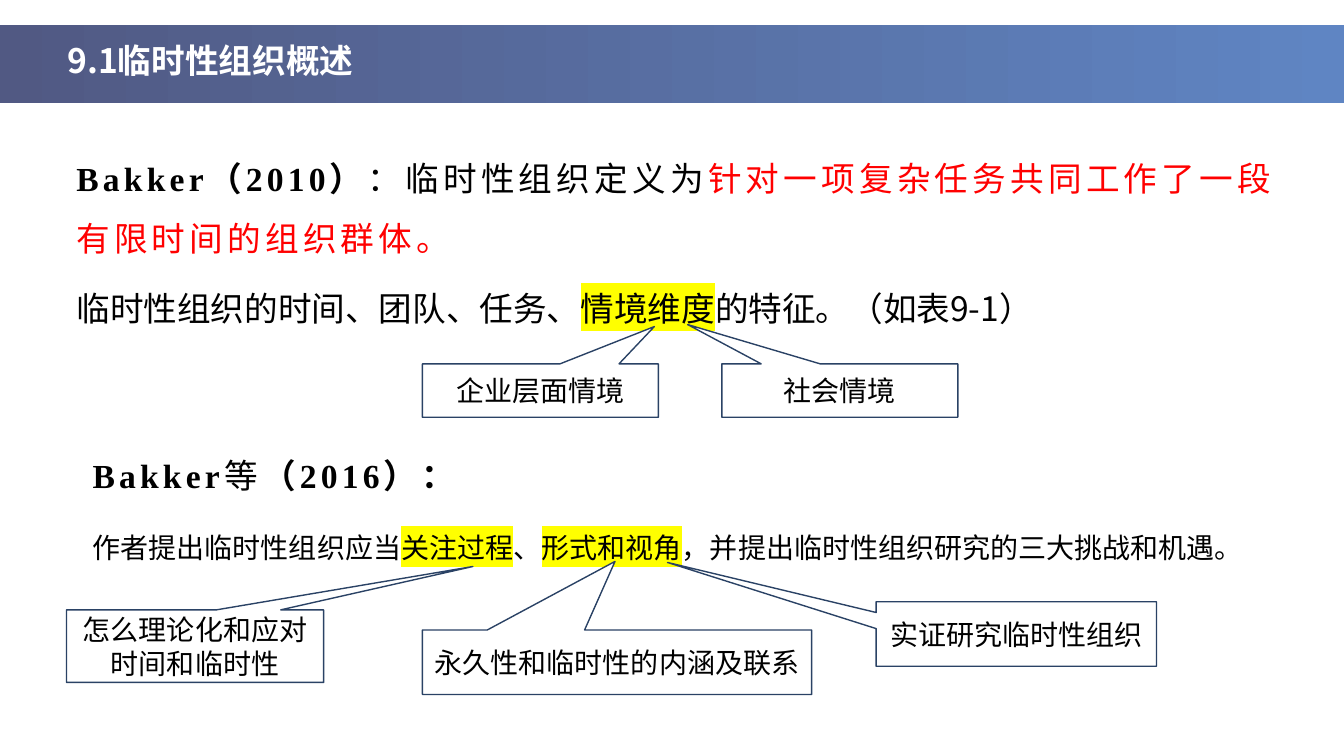
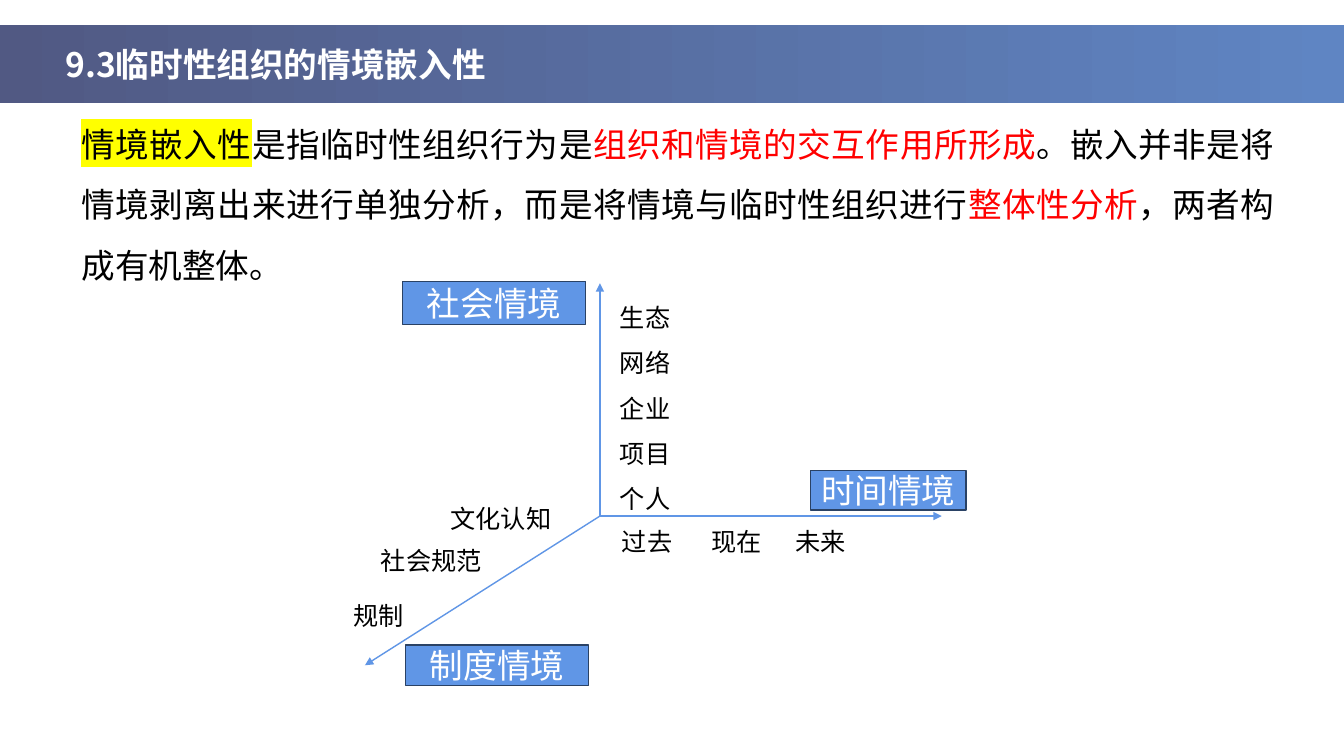
from lxml import etree
from pptx import Presentation
from pptx.dml.color import RGBColor
from pptx.enum.shapes import MSO_CONNECTOR, MSO_SHAPE
from pptx.enum.text import MSO_ANCHOR, MSO_AUTO_SIZE, PP_ALIGN
from pptx.oxml.ns import qn
from pptx.util import Emu, Pt

PX = 9144  # EMU per px, 100 px to the inch
SLIDE_W, SLIDE_H = 1333, 750
SANS, LATIN_SERIF, LATIN_SANS = "Noto Sans CJK SC", "Times New Roman", "Arial"
COLORS = {
    "band_start": "515983",
    "band_end": "5F85C3",
    "white": "FFFFFF",
    "text": "000000",
    "key": "FF0000",
    "marker": "FFFF00",
    "outline": "2A4265",
    "axis": "6096E6",
}
KEY = {"color": "key"}
MARKED = {"marker": "marker"}


def px(length):
    return Emu(round(length * PX))


def rgb(name):
    return RGBColor.from_string(COLORS[name])


def add_run(paragraph, text, size=24, font=SANS, color="text", bold=False,
            spacing=0, marker=None):
    run = paragraph.add_run()
    run.text = text
    run.font.size, run.font.bold = Pt(size), bold
    run.font.color.rgb = rgb(color)
    props = run.font.fill._xPr
    if spacing:
        props.set("spc", str(spacing * 100))
    if marker:
        highlight = etree.SubElement(props, qn("a:highlight"))
        etree.SubElement(highlight, qn("a:srgbClr"), val=COLORS[marker])
    run.font.name = font
    etree.SubElement(props, qn("a:ea"), typeface=SANS)


def write(frame, *paragraphs, align=PP_ALIGN.LEFT, line_spacing=1.0,
          anchor=MSO_ANCHOR.TOP, tabs=(), **style):
    """Each paragraph is a string or a list of (text, style changes)."""
    frame.word_wrap = True
    frame.vertical_anchor = anchor
    for index, content in enumerate(paragraphs):
        paragraph = frame.add_paragraph() if index else frame.paragraphs[0]
        paragraph.alignment = align
        paragraph.line_spacing = line_spacing
        if tabs:
            stops = etree.SubElement(paragraph._p.get_or_add_pPr(), qn("a:tabLst"))
            for stop in tabs:
                etree.SubElement(stops, qn("a:tab"), pos=str(px(stop)), algn="l")
        runs = [(content, {})] if isinstance(content, str) else content
        for text, changes in runs:
            add_run(paragraph, text, **{**style, **changes})


def add_text(slide, box, *paragraphs, **style):
    frame = slide.shapes.add_textbox(*map(px, box)).text_frame
    frame.auto_size = MSO_AUTO_SIZE.SHAPE_TO_FIT_TEXT
    write(frame, *paragraphs, **style)
    return frame


def add_panel(slide, preset, box, text, fill, **style):
    panel = slide.shapes.add_shape(preset, *map(px, box))
    panel.shadow.inherit = False
    panel.fill.solid()
    panel.fill.fore_color.rgb = rgb(fill)
    panel.line.color.rgb = rgb("outline")
    panel.line.width = Pt(1)
    write(panel.text_frame, text, align=PP_ALIGN.CENTER,
          anchor=MSO_ANCHOR.MIDDLE, **style)
    return panel


def add_callout(slide, box, tip, text):
    callout = add_panel(slide, MSO_SHAPE.RECTANGULAR_CALLOUT, box, text, "white", size=20)
    left, top, width, height = box
    callout.adjustments[0] = (tip[0] - left - width / 2) / width
    callout.adjustments[1] = (tip[1] - top - height / 2) / height


def add_arrow(slide, start, end):
    arrow = slide.shapes.add_connector(MSO_CONNECTOR.STRAIGHT, *map(px, start + end))
    arrow.line.color.rgb = rgb("axis")
    arrow.line.width = Pt(1)
    etree.SubElement(arrow.line._get_or_add_ln(), qn("a:tailEnd"), type="triangle")
    etree.SubElement(arrow._element.spPr, qn("a:effectLst"))


def add_title_band(slide, box, title, inset):
    left, top, width, height = box
    band = slide.shapes.add_shape(MSO_SHAPE.RECTANGLE, *map(px, box))
    band.shadow.inherit = False
    band.line.fill.background()
    band.fill.gradient()
    band.fill.gradient_angle = 0
    for stop, name in zip(band.fill.gradient_stops, ("band_start", "band_end")):
        stop.color.rgb = rgb(name)
    add_text(slide, (left + inset[0], top + inset[1], 569, 50), title,
             color="white", bold=True)


def add_definition_2010(slide, box):
    left, top, width, _ = box
    definition = add_text(
        slide, (left, top, width, 120),
        [("Bakker（2010）", {"font": LATIN_SERIF, "bold": True}),
         ("：临时性组织定义为", {}),
         ("针对一项复杂任务共同工作了一段有限时间的组织群体。", KEY)],
        spacing=3, line_spacing=1.5, anchor=MSO_ANCHOR.MIDDLE)
    definition.margin_bottom = 0
    add_text(slide, (left, top + 127, 1201, 65),
             [("临时性组织的时间、团队、任务、", {}), ("情境维度", MARKED),
              ("的特征。（如表9-1）", {})], line_spacing=1.5)
    # Kinds of context
    for x, tip_x, tip_y, text in ((353, 583, 190, "企业层面情境"),
                                  (650, 616, 188, "社会情境")):
        add_callout(slide, (left + x, top + 227, 234, 53),
                    (left + tip_x, top + tip_y), text)


def add_challenges_2016(slide, box):
    left, top, width, _ = box
    author = {"font": LATIN_SERIF, "bold": True}
    add_text(slide, (left + 16, top, 673, 50),
             [("Bakker", author), ("等", {}), ("（2016）：", author)], spacing=3)
    add_text(slide, (left + 16, top + 59, width - 16, 55),
             [("作者提出临时性组织应当", {}), ("关注过程", MARKED), ("、", {}),
              ("形式和视角", MARKED),
              ("，并提出临时性组织研究的三大挑战和机遇。", {})],
             size=20, line_spacing=1.5)
    # Three challenges
    for (x, y, w, h), (tip_x, tip_y), text in (
            ((0, 159, 255, 72), (403, 116), "怎么理论化和应对时间和临时性"),
            ((353, 179, 386, 64), (544, 111), "永久性和临时性的内涵及联系"),
            ((803, 151, 278, 64), (596, 112), "实证研究临时性组织")):
        add_callout(slide, (left + x, top + y, w, h), (left + tip_x, top + tip_y), text)


def add_embeddedness(slide, box):
    add_text(slide, box,
             [("情境嵌入性", MARKED), ("是指临时性组织行为是", {}),
              ("组织和情境的交互作用所形成", KEY),
              ("。嵌入并非是将情境剥离出来进行单独分析，而是将情境与临时性组织进行", {}),
              ("整体性分析", KEY), ("，两者构成有机整体。", {})],
             font=LATIN_SANS, align=PP_ALIGN.JUSTIFY, line_spacing=1.5)


def add_context_axes(slide, box):
    left, top, width, height = box
    origin = (left + 254, top + 233)
    # Axes: time, institution, society
    for end in ((593, 233), (21, 381), (254, 2)):
        add_arrow(slide, origin, (left + end[0], top + end[1]))
    # Axis names
    for x, y, w, h, name, font in ((58, 0, 182, 43, "社会情境", LATIN_SANS),
                                   (61, 361, 182, 40, "制度情境", LATIN_SANS),
                                   (463, 188, 154, 39, "时间情境", SANS)):
        add_panel(slide, MSO_SHAPE.RECTANGLE, (left + x, top + y, w, h), name,
                  "axis", color="white", font=font)
    # Values along each axis
    scale = {"size": 18, "line_spacing": 1.5}
    add_text(slide, (left + 264, top + 1, 87, 232),
             "生态", "网络", "企业", "项目", "个人", **scale)
    add_text(slide, (left + 266, top + 223, 293, 50), "过去\t现在\t未来",
             tabs=(89, 172), **scale)
    for x, y, w, text in ((96, 200, 140, "文化认知"), (27, 242, 140, "社会规范"),
                          (0, 297, 96, "规制")):
        add_text(slide, (left + x, top + y, w, 50), text, **scale)


def main():
    deck = Presentation()
    deck.slide_width, deck.slide_height = px(SLIDE_W), px(SLIDE_H)
    blank = deck.slide_layouts[6]
    band = (0, 25, SLIDE_W, 77)

    overview = deck.slides.add_slide(blank)
    add_title_band(overview, band, "9.1临时性组织概述", (57, 10))
    add_definition_2010(overview, (66, 134, 1244, 280))
    add_challenges_2016(overview, (66, 446, 1237, 243))

    embedding = deck.slides.add_slide(blank)
    add_title_band(embedding, band, "9.3临时性组织的情境嵌入性", (55, 14))
    add_context_axes(embedding, (341, 279, 617, 401))
    add_embeddedness(embedding, (71, 98, 1203, 185))

    deck.save("out.pptx")


if __name__ == "__main__":
    main()
